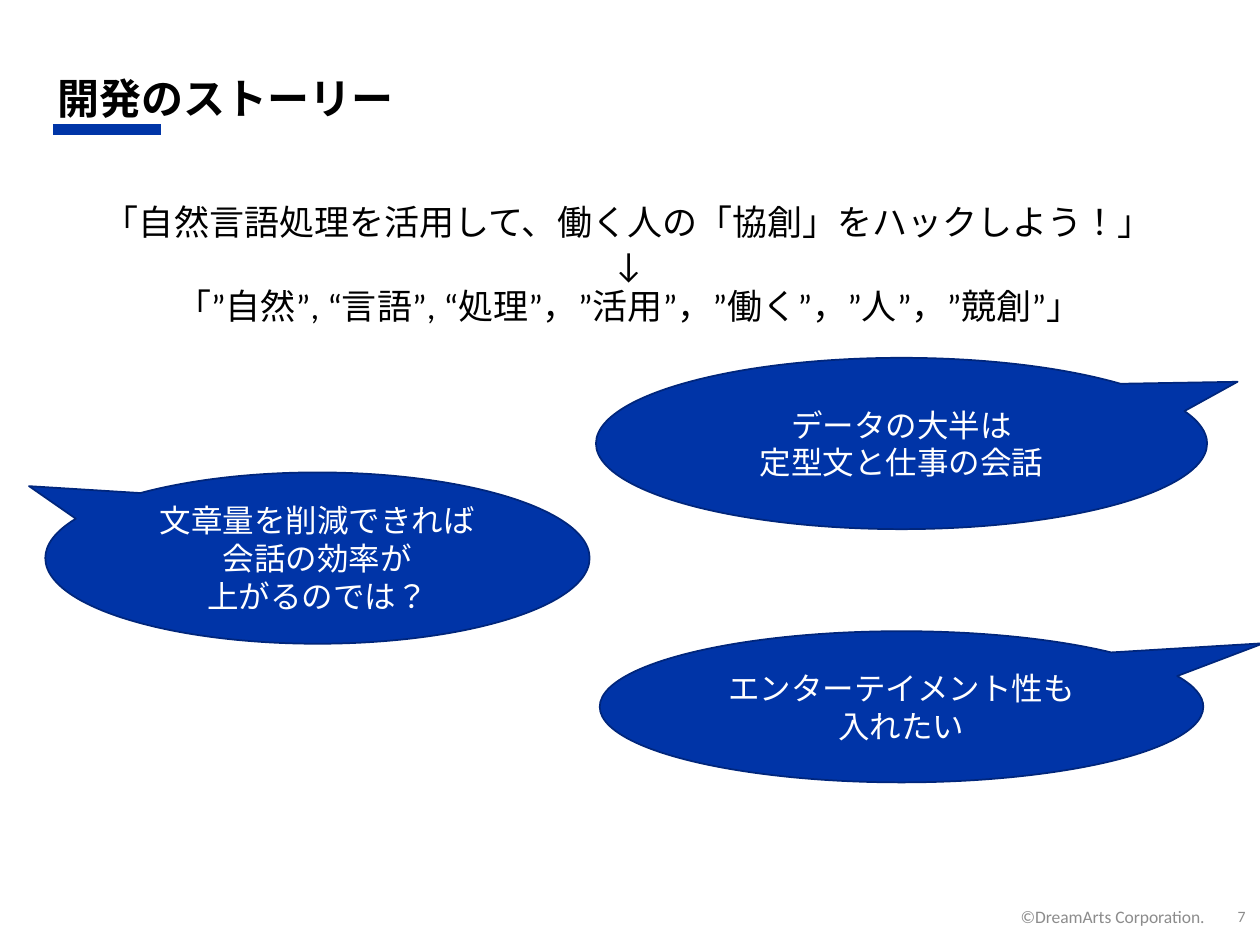
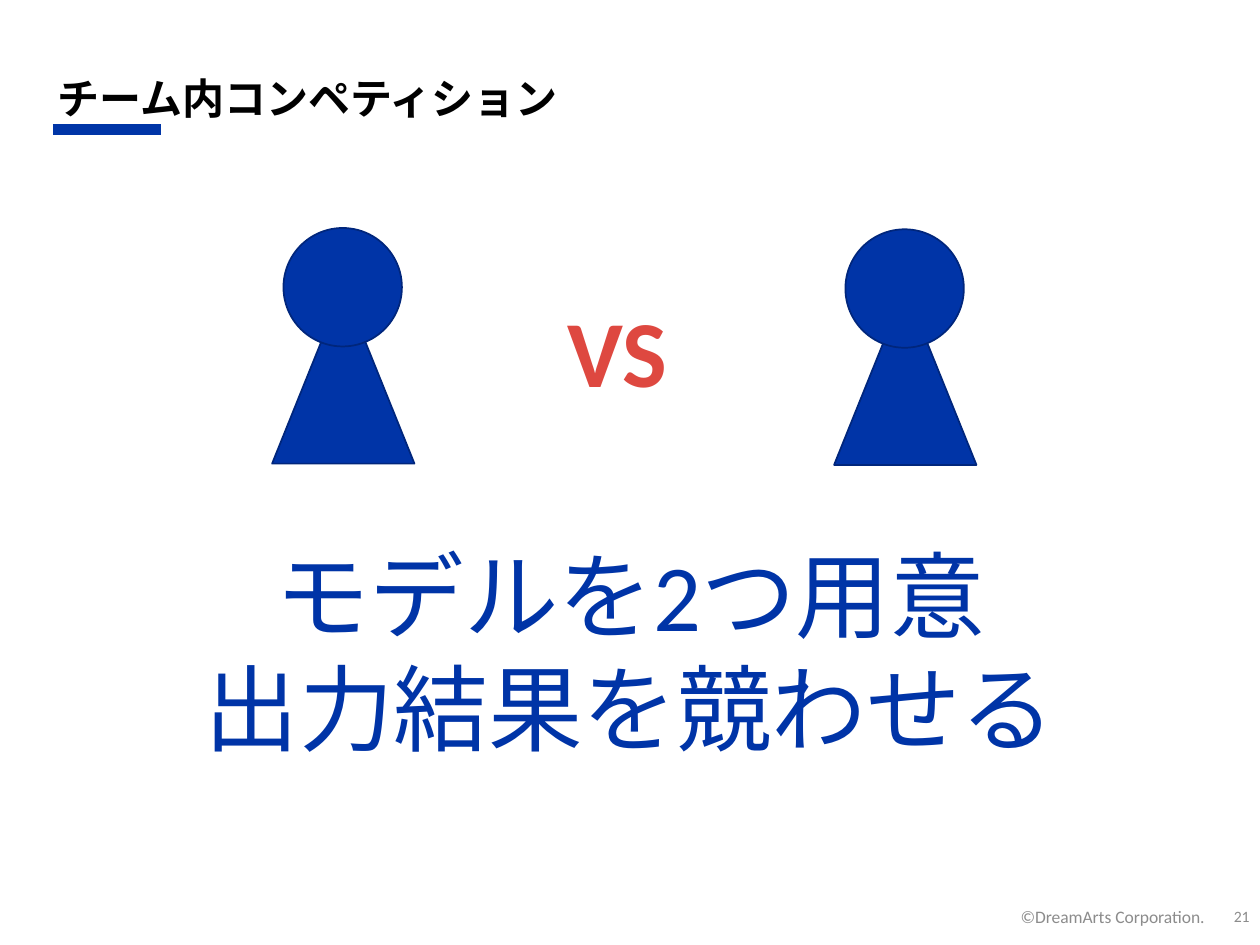
"""Build two slides on a team's language-processing project."""
from dataclasses import dataclass, field

from lxml.etree import SubElement
from pptx import Presentation
from pptx.dml.color import RGBColor
from pptx.enum.lang import MSO_LANGUAGE_ID
from pptx.enum.shapes import MSO_CONNECTOR, MSO_SHAPE
from pptx.enum.text import MSO_ANCHOR, PP_ALIGN
from pptx.oxml.ns import qn
from pptx.util import Pt

SCALE = 9144


def look(size, color, bold=False):
    """Return the format values of one kind of text."""
    return {"name": "Calibri", "size": Pt(size), "bold": bold,
            "language_id": MSO_LANGUAGE_ID.JAPANESE, "color": color}


@dataclass(frozen=True)
class Theme:
    """Hold the colours and type styles that the slides share."""
    bar: str = "0035A7"
    fill: str = "0034A7"
    edge: str = "00267C"
    title: dict = field(default_factory=lambda: look(24, "000000", True))
    body: dict = field(default_factory=lambda: look(20, "000000"))
    bubble: dict = field(default_factory=lambda: look(18, "FFFFFF"))
    versus: dict = field(default_factory=lambda: look(54, "DE4840", True))
    claim: dict = field(default_factory=lambda: look(54, "0034A7"))
    credit: dict = field(default_factory=lambda: look(10, "8C8C8C"))
    number: dict = field(default_factory=lambda: look(9, "8C8C8C"))


THEME = Theme()


def px(*values):
    """Turn px lengths into EMU."""
    return [value * SCALE for value in values]


def apply(target, values):
    """Set each attribute of target from a dict."""
    for name, value in values.items():
        setattr(target, name, value)


def write(frame, lines, style, align=PP_ALIGN.CENTER, anchor=MSO_ANCHOR.MIDDLE,
          wrap=True, pitch=None):
    """Fill a text frame with one paragraph per line."""
    apply(frame, {"word_wrap": wrap, "vertical_anchor": anchor})
    for index, line in enumerate(lines):
        para = frame.paragraphs[0] if index == 0 else frame.add_paragraph()
        apply(para, {"alignment": align, "line_spacing": pitch})
        run = para.add_run()
        run.text = line
        values = {key: val for key, val in style.items() if key != "color"}
        apply(run.font, values)
        run.font.color.rgb = RGBColor.from_string(style["color"])
        SubElement(run._r.get_or_add_rPr(), qn("a:ea"), typeface=style["name"])


def label(slide, box, lines, style, **form):
    """Add a text box."""
    write(slide.shapes.add_textbox(*px(*box)).text_frame, lines, style, **form)


def solid(slide, kind, box):
    """Add a filled shape with a thin dark edge."""
    shape = slide.shapes.add_shape(kind, *px(*box))
    shape.shadow.inherit = False
    shape.fill.solid()
    shape.fill.fore_color.rgb = RGBColor.from_string(THEME.fill)
    shape.line.color.rgb = RGBColor.from_string(THEME.edge)
    shape.line.width = Pt(1)
    return shape


def bubble(slide, box, tip, lines):
    """Add a speech bubble whose tail ends at tip."""
    shape = solid(slide, MSO_SHAPE.OVAL_CALLOUT, box)
    for index, value in enumerate(tip):
        shape.adjustments[index] = value
    write(shape.text_frame, lines, THEME.bubble)


def pawn(slide, left, top):
    """Add a player made of a cone and a round head."""
    solid(slide, MSO_SHAPE.ISOSCELES_TRIANGLE, (left, top + 47, 113, 140))
    solid(slide, MSO_SHAPE.OVAL, (left + 9, top, 94, 94))


def page(deck, title, number):
    """Add a slide with title, bar and footer."""
    slide = deck.slides.add_slide(deck.slide_layouts[6])
    bar = slide.shapes.add_connector(MSO_CONNECTOR.STRAIGHT, *px(42, 103, 128, 103))
    bar.line.color.rgb = RGBColor.from_string(THEME.bar)
    bar.line.width = Pt(6.5)
    SubElement(bar.element.spPr, qn("a:effectLst"))
    label(slide, (36, 40, 927, 74), [title], THEME.title,
          align=PP_ALIGN.LEFT, pitch=Pt(30))
    label(slide, (798, 713, 171, 28), ["©DreamArts Corporation. "], THEME.credit,
          align=PP_ALIGN.RIGHT)
    label(slide, (963, 713, 45, 28), [str(number)], THEME.number)
    return slide


def story(deck):
    """Build the slide on how the project began."""
    slide = page(deck, "開発のストーリー", 7)
    label(slide, (46, 154, 906, 111), [
        "「自然言語処理を活用して、働く人の「協創」をハックしよう！」",
        "↓",
        "「”自然”, “言語”, “処理”，”活用”，”働く”，”人”，”競創”」",
    ], THEME.body, anchor=MSO_ANCHOR.TOP, wrap=False)
    bubble(slide, (473, 284, 485, 136), (0.55, -0.36),
           ["データの大半は", "定型文と仕事の会話"])
    bubble(slide, (36, 375, 432, 136), (-0.53, -0.42),
           ["文章量を削減できれば", "会話の効率が", "上がるのでは？"])
    bubble(slide, (476, 501, 479, 120), (0.6, -0.42),
           ["エンターテイメント性も", "入れたい"])


def contest(deck):
    """Build the slide on the contest of two models."""
    slide = page(deck, "チーム内コンペティション", 21)
    pawn(slide, 216, 181)
    pawn(slide, 662, 182)
    form = {"anchor": MSO_ANCHOR.TOP, "wrap": False}
    label(slide, (440, 228, 100, 101), ["VS"], THEME.versus, **form)
    label(slide, (149, 421, 702, 192), ["モデルを2つ用意", "出力結果を競わせる"],
          THEME.claim, **form)


def main():
    """Build and save the deck."""
    deck = Presentation()
    deck.slide_width, deck.slide_height = px(1000, 750)
    story(deck)
    contest(deck)
    deck.save("out.pptx")


if __name__ == "__main__":
    main()
